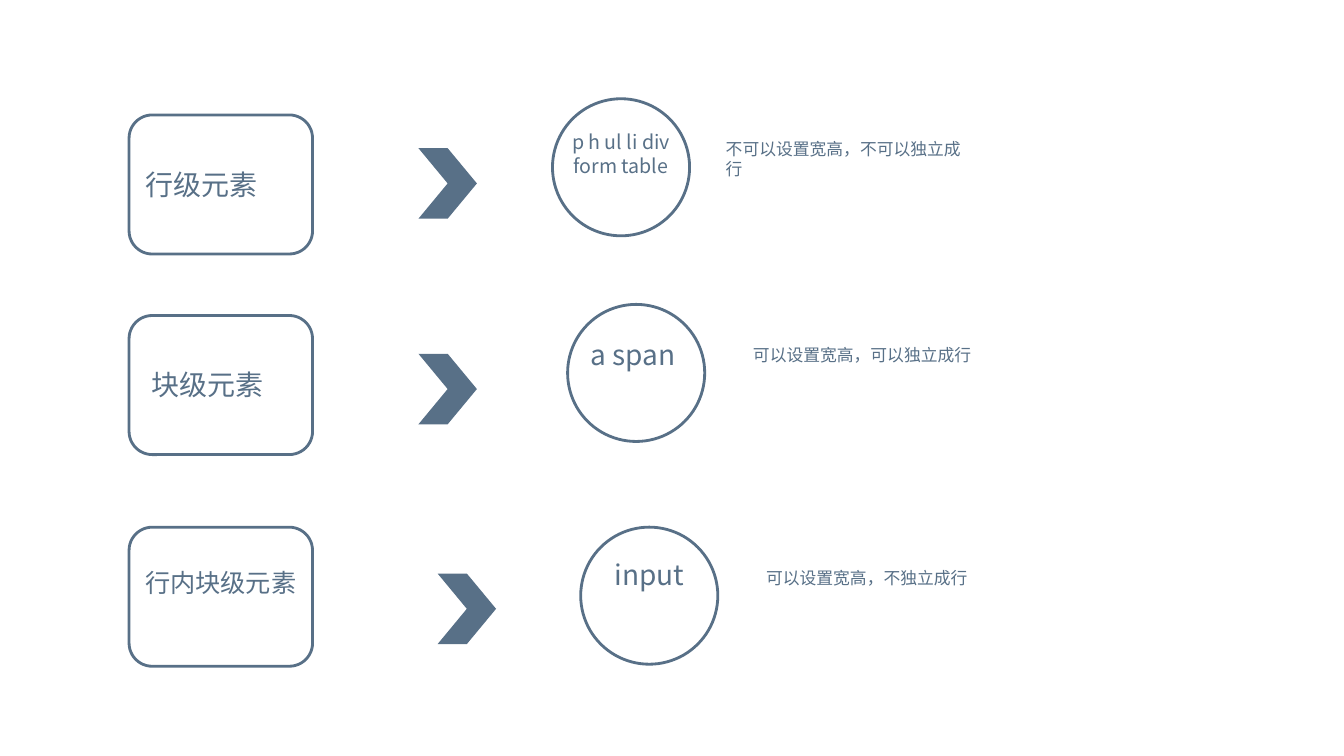
from lxml import etree
from pptx import Presentation
from pptx.dml.color import RGBColor
from pptx.enum.shapes import MSO_SHAPE
from pptx.enum.text import PP_ALIGN
from pptx.oxml.ns import qn
from pptx.util import Inches, Pt

SLATE = RGBColor(0x58, 0x70, 0x87)
FONT = "Noto Sans CJK JP"
ROUNDED, CHEVRON, CIRCLE = (
    MSO_SHAPE.ROUNDED_RECTANGLE, MSO_SHAPE.CHEVRON, MSO_SHAPE.OVAL)
LEFT, CENTER = PP_ALIGN.LEFT, PP_ALIGN.CENTER

CARD_LEFT, CARD_WIDTH, CARD_HEIGHT = 1.28, 1.82, 1.38
CHEVRON_WIDTH, CHEVRON_HEIGHT = 0.58, 0.7
DIAMETER = 1.36
TAG_INSET, TAG_WIDTH = 0.08, 1.2
NOTE_OFFSET, NOTE_DROP, NOTE_WIDTH = 1.74, 0.35, 2.64

# Each part: text, size, then its place; the circle carries tag and note
ROWS = [
    {"card_top": 1.14, "name": ("行级元素", 20, 1.34, 1.61, 0.44),
     "chevron": (4.15, 1.47), "circle": (5.48, 0.98),
     "tag": ("p h ul li div form table", 14, 0.26, 0.81),
     "note": ("不可以设置宽高，不可以独立成行", 0.5), "note_offset": 1.62},
    {"card_top": 3.13, "name": ("块级元素", 20, 1.4, 3.6, 0.77),
     "chevron": (4.15, 3.51), "circle": (5.63, 3.02),
     "tag": ("a span ", 20, 0.28, 0.44),
     "note": ("可以设置宽高，可以独立成行", 0.3)},
    {"card_top": 5.23, "name": ("行内块级元素", 18, 1.34, 5.58, 1.08),
     "chevron": (4.34, 5.69), "circle": (5.76, 5.23),
     "tag": ("input", 20, 0.25, 0.44),
     "note": ("可以设置宽高，不独立成行", 0.3)},
]


def add_figure(shapes, kind, left, top, width, height, filled=False):
    shape = shapes.add_shape(
        kind, Inches(left), Inches(top), Inches(width), Inches(height))
    shape.shadow.inherit = False
    if filled:
        shape.fill.solid()
        shape.fill.fore_color.rgb = SLATE
        shape.line.fill.background()
    else:
        shape.fill.background()
        shape.line.color.rgb = SLATE
        shape.line.width = Pt(2)


def add_text(shapes, text, size, left, top, width, height, alignment=LEFT):
    box = shapes.add_textbox(
        Inches(left), Inches(top), Inches(width), Inches(height))
    box.text_frame.word_wrap = True
    paragraph = box.text_frame.paragraphs[0]
    paragraph.text = text
    paragraph.alignment = alignment
    font = paragraph.font
    font.name, font.size = FONT, Pt(size)
    font.color.rgb = SLATE
    # East Asian characters take their typeface from a separate element
    properties = paragraph._p.pPr.find(qn("a:defRPr"))
    etree.SubElement(properties, qn("a:ea")).set("typeface", FONT)


def add_card(shapes, top, name):
    text, size, left, text_top, height = name
    add_figure(shapes, ROUNDED, CARD_LEFT, top, CARD_WIDTH, CARD_HEIGHT)
    add_text(shapes, text, size, left, text_top, 1.7, height)


def add_example(shapes, left, top, tag, note, note_offset):
    """Circle with its tags, and the rule beside it, as one group."""
    group = shapes.add_group_shape().shapes
    add_figure(group, CIRCLE, left, top, DIAMETER, DIAMETER)
    text, height = note
    add_text(group, text, 12, left + note_offset, top + NOTE_DROP,
             NOTE_WIDTH, height)
    text, size, drop, height = tag
    add_text(group, text, size, left + TAG_INSET, top + drop,
             TAG_WIDTH, height, CENTER)


def add_row(shapes, row):
    add_card(shapes, row["card_top"], row["name"])
    add_figure(shapes, CHEVRON, *row["chevron"],
               CHEVRON_WIDTH, CHEVRON_HEIGHT, filled=True)
    add_example(shapes, *row["circle"], row["tag"], row["note"],
                row.get("note_offset", NOTE_OFFSET))


def main():
    presentation = Presentation()
    presentation.slide_width = Inches(13.33)
    presentation.slide_height = Inches(7.5)
    slide = presentation.slides.add_slide(presentation.slide_layouts[6])
    for row in ROWS:
        add_row(slide.shapes, row)
    presentation.save("out.pptx")


if __name__ == "__main__":
    main()
